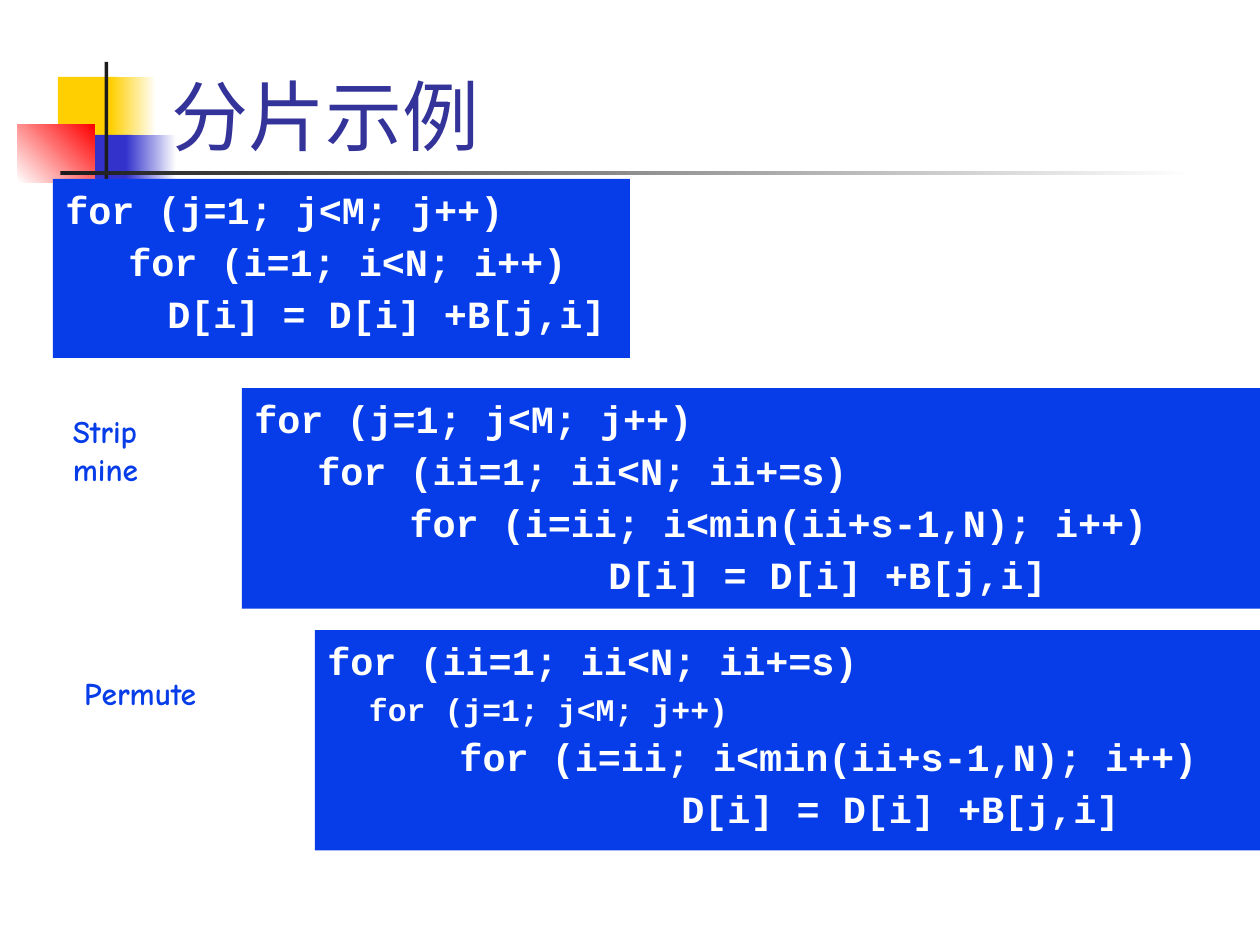
from pptx import Presentation
from pptx.dml.color import RGBColor
from pptx.enum.shapes import MSO_SHAPE as SHAPE
from pptx.enum.text import MSO_ANCHOR as ANCHOR, PP_ALIGN as ALIGN
from pptx.util import Inches, Pt

WHITE = RGBColor(0xFF, 0xFF, 0xFF)
YELLOW = RGBColor(0xFF, 0xCF, 0x01)
INDIGO = RGBColor(0x33, 0x33, 0xCC)
RED = RGBColor(0xFF, 0x00, 0x00)
BLACK = RGBColor(0x1C, 0x1C, 0x1C)
NAVY = RGBColor(0x33, 0x33, 0x99)
BLUE = RGBColor(0x06, 0x3D, 0xE8)

prs = Presentation()
prs.slide_width, prs.slide_height = Inches(10), Inches(7.5)
s = prs.slides.add_slide(prs.slide_layouts[6])


def add_rect(box, color, end=None, angle=0):
    """Add a plain rectangle, or one that fades from color to end."""
    sp = s.shapes.add_shape(SHAPE.RECTANGLE, *map(Inches, box))
    sp.shadow.inherit = False
    sp.line.fill.background()
    if end is None:
        sp.fill.solid()
        sp.fill.fore_color.rgb = color
    else:
        sp.fill.gradient()
        sp.fill.gradient_angle = angle
        for stop, stop_color in zip(sp.fill.gradient_stops, (color, end)):
            stop.color.rgb = stop_color
    return sp


def add_text(tf, text, *, size, font, color, bold=False, indent=0,
             before=0, spacing=1.0):
    """Write one paragraph, starting with the empty first one."""
    p = tf.paragraphs[0]
    if p.runs:
        p = tf.add_paragraph()
        p.space_before = Pt(before)
    p.alignment = ALIGN.LEFT
    p.line_spacing = spacing
    if indent:
        p._p.get_or_add_pPr().set("marL", str(Inches(indent)))
    r = p.add_run()
    r.text = text
    r.font.size, r.font.name, r.font.bold = Pt(size), font, bold
    r.font.color.rgb = color


# Corner decoration: box, colour, fade-to colour, angle
for decoration in [
    ((0.46, 0.61, 0.48, 0.52), YELLOW),
    ((0.88, 0.61, 0.36, 0.52), YELLOW, WHITE),
    ((0.59, 1.07, 0.46, 0.52), INDIGO),
    ((1, 1.07, 0.4, 0.52), INDIGO, WHITE),
    ((0.14, 0.99, 0.61, 0.46), WHITE, RED, 45),
    ((0.83, 0.49, 0.03, 1.15), BLACK),
    ((0.48, 1.36, 9, 0.03), BLACK, WHITE),
]:
    add_rect(*decoration)

# Title
tf = s.shapes.add_textbox(Inches(1.26), Inches(0.08), Inches(8.52), Inches(1.25)).text_frame
tf.word_wrap = True
tf.vertical_anchor = ANCHOR.BOTTOM
add_text(tf, "分片示例", size=44, font="Times New Roman", color=NAVY)

# Code blocks: box, then (indent, size, code) for each line
code_blocks = [
    ((0.42, 1.42, 4.58, 1.42), [
        (0, 22, "for (j=1; j<M; j++)"),
        (0.5, 22, "for (i=1; i<N; i++)"),
        (0.81, 22, "D[i] = D[i] +B[j,i]"),
    ]),
    ((1.92, 3.08, 8.08, 1.75), [
        (0, 22, "for (j=1; j<M; j++)"),
        (0.5, 22, "for (ii=1; ii<N; ii+=s)"),
        (0.5, 22, "    for (i=ii; i<min(ii+s-1,N); i++)"),
        (2.81, 22, "D[i] = D[i] +B[j,i]"),
    ]),
    ((2.5, 5, 7.5, 1.75), [
        (0, 22, "for (ii=1; ii<N; ii+=s)"),
        (0.33, 18, "for (j=1; j<M; j++)"),
        (0.5, 22, "   for (i=ii; i<min(ii+s-1,N); i++)"),
        (2.81, 22, "D[i] = D[i] +B[j,i]"),
    ]),
]
for box, lines in code_blocks:
    tf = add_rect(box, BLUE).text_frame
    tf.word_wrap = True
    tf.vertical_anchor = ANCHOR.TOP
    tf.margin_top = Inches(0.1)
    for indent, size, code in lines:
        add_text(tf, code, size=size, font="Courier New", color=WHITE,
                 bold=True, indent=indent, before=5.8, spacing=0.9)

# Step labels
for box, lines in [
    ((0.48, 3.22, 1.02, 0.9), ["Strip", "mine"]),
    ((0.57, 5.3, 1.5, 0.5), ["Permute"]),
]:
    tf = s.shapes.add_textbox(*map(Inches, box)).text_frame
    tf.word_wrap = True
    for line in lines:
        add_text(tf, line, size=18, font="Comic Neue", color=BLUE, bold=True)

prs.save("out.pptx")
